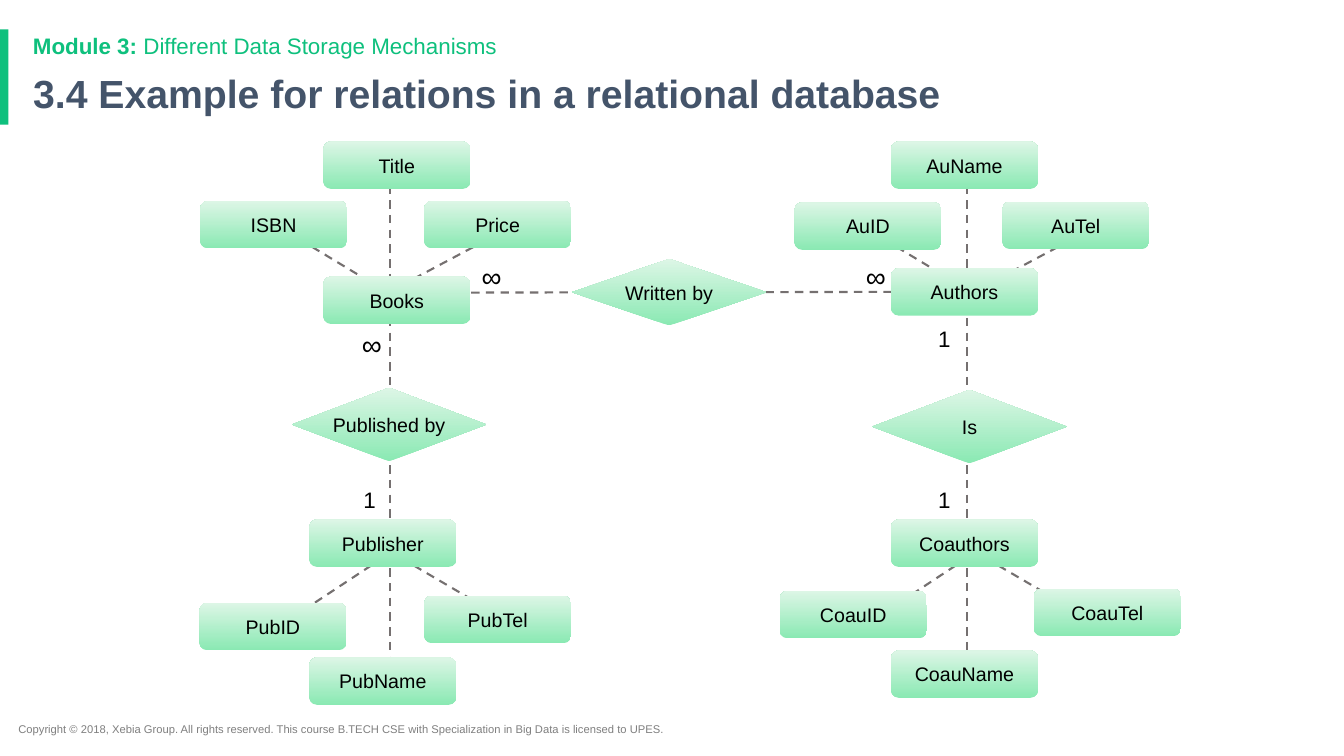
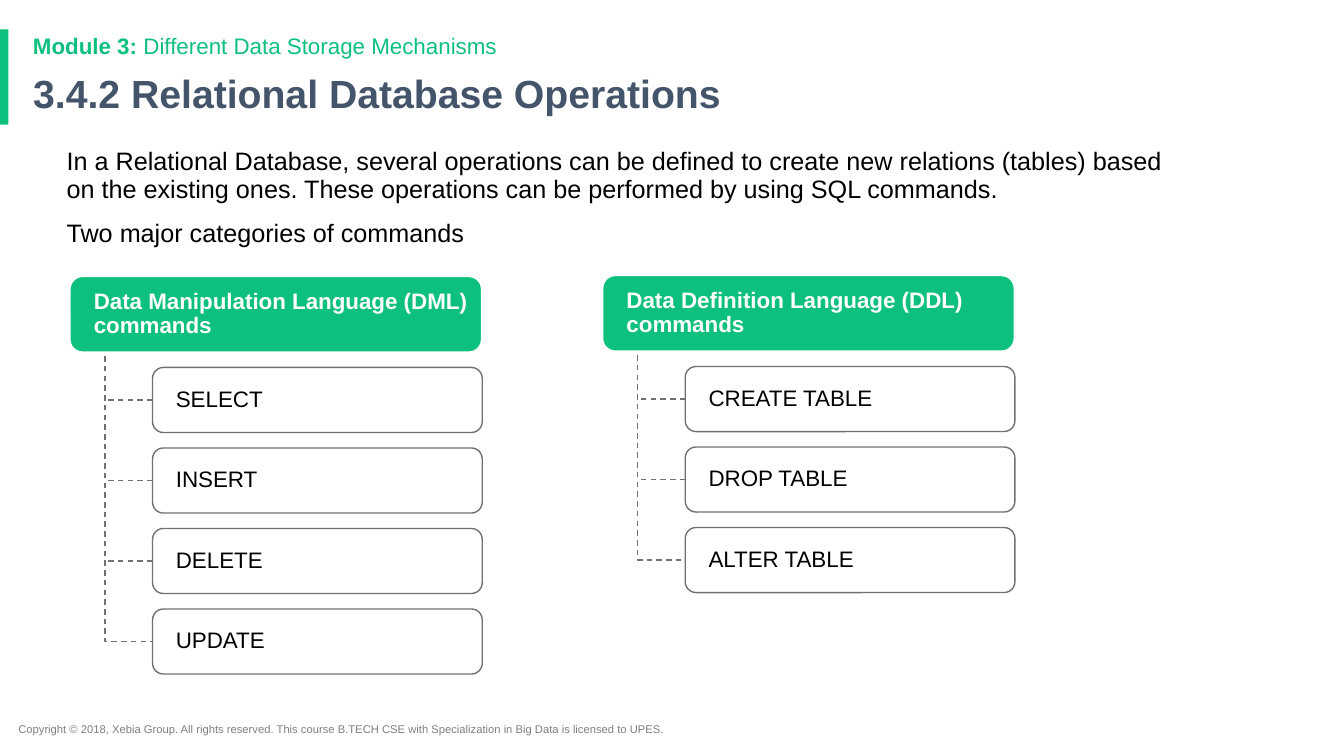
import pptx
import pptx.dml.color
import pptx.enum.dml
import pptx.enum.shapes
import pptx.enum.text
import pptx.oxml.ns
import pptx.util
from lxml import etree

Pt = pptx.util.Pt
RGBColor = pptx.dml.color.RGBColor
PRESET = pptx.enum.shapes.MSO_SHAPE
ALIGN = pptx.enum.text.PP_ALIGN
ANCHOR = pptx.enum.text.MSO_ANCHOR

# Shared look
GREEN = RGBColor(0x0E, 0xC0, 0x7D)
MINT = RGBColor(0x8A, 0xE9, 0xB3)
PALE_MINT = RGBColor(0xDD, 0xF6, 0xE6)
SLATE = RGBColor(0x44, 0x54, 0x6A)
GRAY = RGBColor(0x75, 0x70, 0x70)
FOOTER_GRAY = RGBColor(0x7F, 0x7F, 0x7F)
BLACK = RGBColor(0, 0, 0)
WHITE = RGBColor(0xFF, 0xFF, 0xFF)
FONT = "Arial"
TEXT_INSETS = (7.2, 3.6, 7.2, 3.6)
FOOTER = ("Copyright © 2018, Xebia Group. All rights reserved. This course B.TECH CSE "
          "with Specialization in Big Data is licensed to UPES.")

# Entity diagram: name, left, top
ENTITY_SIZE = (105, 34)
ENTITIES = [
    ("Title", 231, 101), ("ISBN", 143, 143.5), ("Price", 303, 143.5), ("Books", 231, 197.5),
    ("Publisher", 221, 371), ("PubID", 142.5, 430.5), ("PubTel", 303, 425.5),
    ("PubName", 221, 469.5),
    ("AuName", 636.5, 101), ("AuID", 567.5, 144.5), ("AuTel", 716, 144), ("Authors", 636.5, 191.5),
    ("Coauthors", 636.5, 371), ("CoauID", 557, 422), ("CoauTel", 738.5, 420.5),
    ("CoauName", 636.5, 464.5),
]
# Relationship: name, left, top, height
RELATIONSHIP_WIDTH = 139
RELATIONSHIPS = [("Published by", 208.5, 277, 52.5), ("Written by", 408.5, 185, 47.5),
                 ("Is", 623, 278.5, 52.5)]
# Cardinality: symbol, left, top, size
CARDINALITIES = [("∞", 337, 182, 20), ("∞", 251.5, 230.5, 20), ("∞", 611.5, 182, 20),
                 ("1", 252.5, 343.5, 16), ("1", 663, 343.5, 16), ("1", 663, 229, 16)]
# Dashed links of one column; the second column is the same, shifted right
ATTRIBUTE_LINKS = [[(205, 165.5), (277, 209), (346.5, 172)],
                   [(207.5, 442), (279.5, 394.5), (348.5, 435)]]
COLUMN_SHIFT = 417.5
SPINES = (278.5, 691)

# Command trees: heading, left, top, commands
COMMAND_TREES = [
    ("Data Manipulation Language (DML) commands", 50, 197.5,
     ["SELECT", "INSERT", "DELETE", "UPDATE"]),
    ("Data Definition Language (DDL) commands", 430.5, 196.8,
     ["CREATE TABLE", "DROP TABLE", "ALTER TABLE"]),
]


def style_text(shape, size, color=BLACK, bold=False, align=ALIGN.LEFT, anchor=ANCHOR.TOP,
               insets=TEXT_INSETS, spacing=1.0, wrap=True):
    frame = shape.text_frame
    frame.auto_size = pptx.enum.text.MSO_AUTO_SIZE.NONE
    frame.word_wrap = wrap
    frame.vertical_anchor = anchor
    (frame.margin_left, frame.margin_top,
     frame.margin_right, frame.margin_bottom) = map(Pt, insets)
    for paragraph in frame.paragraphs:
        paragraph.alignment = align
        paragraph.line_spacing = spacing
        for run in paragraph.runs:
            run.font.name = FONT
            run.font.size = Pt(size)
            run.font.bold = bold
            run.font.color.rgb = color


def add_text(slide, text, left, top, width, height, size, **style):
    box = slide.shapes.add_textbox(Pt(left), Pt(top), Pt(width), Pt(height))
    box.text_frame.text = text
    style_text(box, size, **style)
    return box


def add_block(slide, preset, left, top, width, height, text=""):
    block = slide.shapes.add_shape(preset, Pt(left), Pt(top), Pt(width), Pt(height))
    block.shadow.inherit = False
    block.line.fill.background()
    block.text_frame.text = text
    return block


def fill_solid(block, fill, outline):
    block.fill.solid()
    block.fill.fore_color.rgb = fill
    block.line.color.rgb = outline
    block.line.width = Pt(1)


def add_gradient_block(slide, preset, text, left, top, width, height):
    block = add_block(slide, preset, left, top, width, height, text)
    block.fill.gradient()
    block.fill.gradient_angle = 90
    for stop, color in zip(block.fill.gradient_stops, (MINT, PALE_MINT)):
        stop.color.rgb = color
    style_text(block, 14, align=ALIGN.CENTER, anchor=ANCHOR.MIDDLE,
               insets=(0, 0, 0, 0), wrap=False)


def dash(line, weight):
    line.color.rgb = GRAY
    line.width = Pt(weight)
    line.dash_style = pptx.enum.dml.MSO_LINE.DASH


def add_dashed_line(slide, start, end, weight):
    link = slide.shapes.add_connector(pptx.enum.shapes.MSO_CONNECTOR.STRAIGHT,
                                      *map(Pt, start + end))
    dash(link.line, weight)
    etree.SubElement(link._element.spPr, pptx.oxml.ns.qn("a:effectLst"))


def add_dashed_bend(slide, points, weight):
    start, *corners = [(Pt(x), Pt(y)) for x, y in points]
    builder = slide.shapes.build_freeform(*start)
    builder.add_line_segments(corners, close=False)
    bend = builder.convert_to_shape()
    bend.shadow.inherit = False
    bend.fill.background()
    dash(bend.line, weight)


def add_course_slide(deck, heading):
    slide = deck.slides.add_slide(deck.slide_layouts.get_by_name("Title Only"))
    # Side band and footer
    band = add_block(slide, PRESET.RECTANGLE, 0, 21, 6, 68)
    band.fill.solid()
    band.fill.fore_color.rgb = GREEN
    add_text(slide, FOOTER, 6, 512.5, 513, 17.5, 8, color=FOOTER_GRAY)
    # Title and module line
    title = slide.shapes.title
    title.left, title.top, title.width, title.height = map(Pt, (16.5, 49.5, 828, 39))
    title.text_frame.text = heading
    style_text(title, 28, color=SLATE, bold=True, spacing=0.9)
    module = add_text(slide, "Module 3:", 16.5, 21.5, 828, 24, 16, color=GREEN)
    module.text_frame.paragraphs[0].add_run().text = " Different Data Storage Mechanisms"
    style_text(module, 16, color=GREEN, spacing=0.9)
    module.text_frame.paragraphs[0].runs[0].font.bold = True
    return slide


def add_command_tree(slide, heading, left, top, commands):
    trunk_x, command_x = left + 25, left + 59
    command_height, pitch = 46.5, 57.5
    tops = [top + 65 + pitch * row for row in range(len(commands))]
    *branches, last = [command_top + command_height / 2 for command_top in tops]
    # Dashed trunk and branches
    add_dashed_bend(slide, [(trunk_x, top + 50), (trunk_x, last), (command_x, last)], 1)
    for y in branches:
        add_dashed_line(slide, (command_x, y), (trunk_x, y), 1)
    # Heading and commands
    head = add_block(slide, PRESET.ROUNDED_RECTANGLE, left, top, 294, 54, heading)
    fill_solid(head, GREEN, WHITE)
    style_text(head, 16, color=WHITE, bold=True, anchor=ANCHOR.MIDDLE,
               insets=(14.4, 2, 3, 2), spacing=0.9)
    for command, command_top in zip(commands, tops):
        box = add_block(slide, PRESET.ROUNDED_RECTANGLE, command_x, command_top,
                        235.5, command_height, command)
        fill_solid(box, WHITE, GRAY)
        style_text(box, 16, anchor=ANCHOR.MIDDLE, insets=(14.4, 1.5, 2, 1.5), spacing=0.9)


def add_entity_slide(deck):
    slide = add_course_slide(deck, "3.4 Example for relations in a relational database")
    # Links
    for shift in (0, COLUMN_SHIFT):
        for points in ATTRIBUTE_LINKS:
            add_dashed_bend(slide, [(x + shift, y) for x, y in points], 1.5)
    for x in SPINES:
        add_dashed_line(slide, (x, 132.5), (x, 476), 1.5)
    add_dashed_line(slide, (326, 209), (636.5, 208.5), 1.5)
    # Entities, relationships and cardinalities
    for name, left, top in ENTITIES:
        add_gradient_block(slide, PRESET.ROUNDED_RECTANGLE, name, left, top, *ENTITY_SIZE)
    for name, left, top, height in RELATIONSHIPS:
        add_gradient_block(slide, PRESET.DIAMOND, name, left, top, RELATIONSHIP_WIDTH, height)
    for symbol, left, top, size in CARDINALITIES:
        add_text(slide, symbol, left, top, 30, 26.5, size)


def add_operations_slide(deck):
    slide = add_course_slide(deck, "3.4.2 Relational Database Operations")
    intro = add_text(
        slide,
        "In a Relational Database, several operations can be defined to create new relations "
        "(tables) based on the existing ones. These operations can be performed by using SQL "
        "commands.\nTwo major categories of commands",
        40.5, 103, 809, 80, 18, spacing=0.9)
    intro.text_frame.paragraphs[1].space_before = Pt(12)
    for tree in COMMAND_TREES:
        add_command_tree(slide, *tree)


def main():
    deck = pptx.Presentation()
    deck.slide_width, deck.slide_height = Pt(960), Pt(540)
    add_entity_slide(deck)
    add_operations_slide(deck)
    deck.save("out.pptx")


if __name__ == "__main__":
    main()
